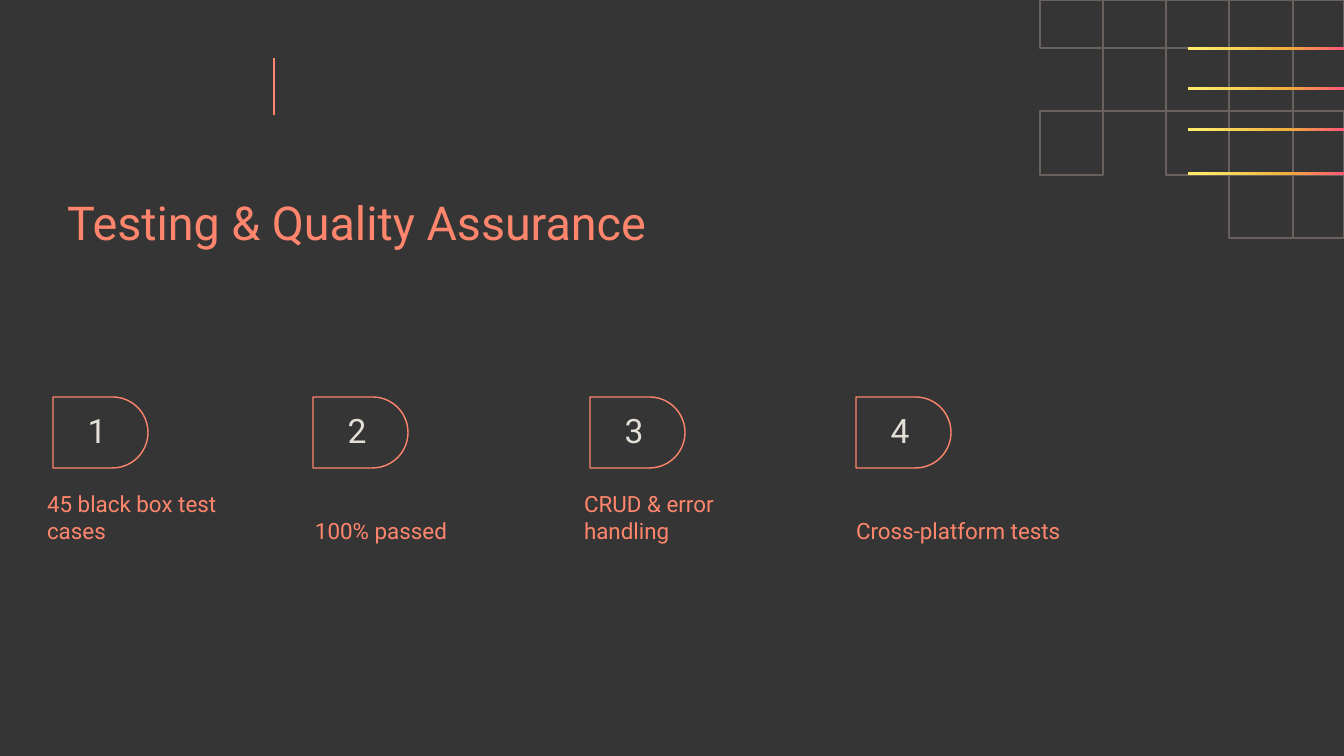
from pptx import Presentation
from pptx.dml.color import RGBColor
from pptx.enum.shapes import MSO_CONNECTOR, MSO_SHAPE
from pptx.enum.text import MSO_ANCHOR, PP_ALIGN
from pptx.oxml.ns import qn
from pptx.oxml.xmlchemy import OxmlElement
from pptx.util import Emu, Pt

SCALE = 914400 / 134.4
COLORS = {
    "background": "353535",
    "coral": "FF866D",
    "grid": "69615E",
    "number": "E3DFD6",
    "yellow": "FFEB67",
    "orange": "F0B03B",
    "pink": "FF5777",
}
STRIPE_STOPS = [(0, "yellow"), (8, "yellow"), (63, "orange"), (100, "pink")]
STRIPE_TOPS = [47, 87, 128, 172]

GRID_COLUMNS = [1040, 1103, 1166, 1229, 1293, 1344]
GRID_ROWS = [0, 48, 111, 175, 238]
GRID_CELLS = [(0, 1, 2, 3, 4), (1, 2, 3), (0, 2, 3, 4), (3, 4)]

# badge left, caption left, caption
TEST_POINTS = [
    (53, 34, "45 black box test cases"),
    (313, 302, "100% passed"),
    (590, 571, "CRUD & error handling"),
    (856, 843, "Cross-platform tests"),
]
BADGE_TOP, BADGE_WIDTH, BADGE_HEIGHT = 397, 95, 71

HEADING = {"size": Pt(25), "color": "coral"}
CAPTION = {"size": Pt(12), "color": "coral", "anchor": MSO_ANCHOR.BOTTOM}
NUMBER = {"size": Pt(18), "color": "number", "align": PP_ALIGN.CENTER, "margin_right": 20}


def px(length):
    return Emu(round(length * SCALE))


def rgb(name):
    return RGBColor.from_string(COLORS[name])


def add_outline(slide, preset, box, color):
    outline = slide.shapes.add_shape(preset, *map(px, box))
    outline.shadow.inherit = False
    outline.fill.background()
    outline.line.color.rgb = rgb(color)
    outline.line.width = Pt(0.75)
    return outline


def add_text(slide, box, text, style):
    frame = slide.shapes.add_textbox(*map(px, box)).text_frame
    frame_format = {
        "word_wrap": True,
        "vertical_anchor": style.get("anchor", MSO_ANCHOR.TOP),
        "margin_left": px(13),
        "margin_top": px(13),
        "margin_right": px(style.get("margin_right", 13)),
        "margin_bottom": px(13),
    }
    for name, value in frame_format.items():
        setattr(frame, name, value)
    paragraph = frame.paragraphs[0]
    paragraph.alignment = style.get("align", PP_ALIGN.LEFT)
    run = paragraph.add_run()
    run.text = text
    for name, value in {"name": "Roboto", "size": style["size"]}.items():
        setattr(run.font, name, value)
    run.font.color.rgb = rgb(style["color"])


def add_accent(slide):
    ends = map(px, (274, 58, 274, 115))
    accent = slide.shapes.add_connector(MSO_CONNECTOR.STRAIGHT, *ends)
    accent.line.color.rgb = rgb("coral")
    accent.line.width = Pt(1.5)
    accent._element.spPr.append(OxmlElement("a:effectLst"))


def add_grid(slide):
    for row, columns in enumerate(GRID_CELLS):
        top, bottom = GRID_ROWS[row:row + 2]
        for column in columns:
            left, right = GRID_COLUMNS[column:column + 2]
            box = (left, top, right - left, bottom - top)
            add_outline(slide, MSO_SHAPE.RECTANGLE, box, "grid")


def add_stripe(slide, top):
    """Thin bar running from yellow at the left to pink at the slide edge."""
    stripe = slide.shapes.add_shape(MSO_SHAPE.RECTANGLE, *map(px, (1188, top, 156, 3)))
    stripe.shadow.inherit = False
    stripe.line.fill.background()
    stripe.fill.gradient()
    stripe.fill.gradient_angle = 0
    stops = stripe._element.spPr.find(qn("a:gradFill")).find(qn("a:gsLst"))
    for default_stop in list(stops):
        stops.remove(default_stop)
    for percent, color in STRIPE_STOPS:
        stop = OxmlElement("a:gs")
        stop.set("pos", str(percent * 1000))
        shade = OxmlElement("a:srgbClr")
        shade.set("val", COLORS[color])
        stop.append(shade)
        stops.append(stop)


def add_badge(slide, left, number):
    """Outline with a round right end, made by a quarter turn of a round-topped tab."""
    shift = (BADGE_WIDTH - BADGE_HEIGHT) // 2
    box = (left + shift, BADGE_TOP - shift, BADGE_HEIGHT, BADGE_WIDTH)
    badge = add_outline(slide, MSO_SHAPE.ROUND_2_SAME_RECTANGLE, box, "coral")
    badge.rotation = 90
    badge.adjustments[0] = 0.5
    badge.adjustments[1] = 0
    add_text(slide, (left, BADGE_TOP, BADGE_WIDTH, BADGE_HEIGHT), str(number), NUMBER)


def main():
    presentation = Presentation()
    presentation.slide_width, presentation.slide_height = px(1344), px(756)
    slide = presentation.slides.add_slide(presentation.slide_layouts[6])
    slide.background.fill.solid()
    slide.background.fill.fore_color.rgb = rgb("background")

    add_accent(slide)
    add_grid(slide)
    for top in STRIPE_TOPS:
        add_stripe(slide, top)
    add_text(slide, (54, 181, 707, 137), "Testing & Quality Assurance", HEADING)
    for number, (badge_left, caption_left, caption) in enumerate(TEST_POINTS, 1):
        add_badge(slide, badge_left, number)
        add_text(slide, (caption_left, 480, 233, 77), caption, CAPTION)

    presentation.save("out.pptx")


if __name__ == "__main__":
    main()
